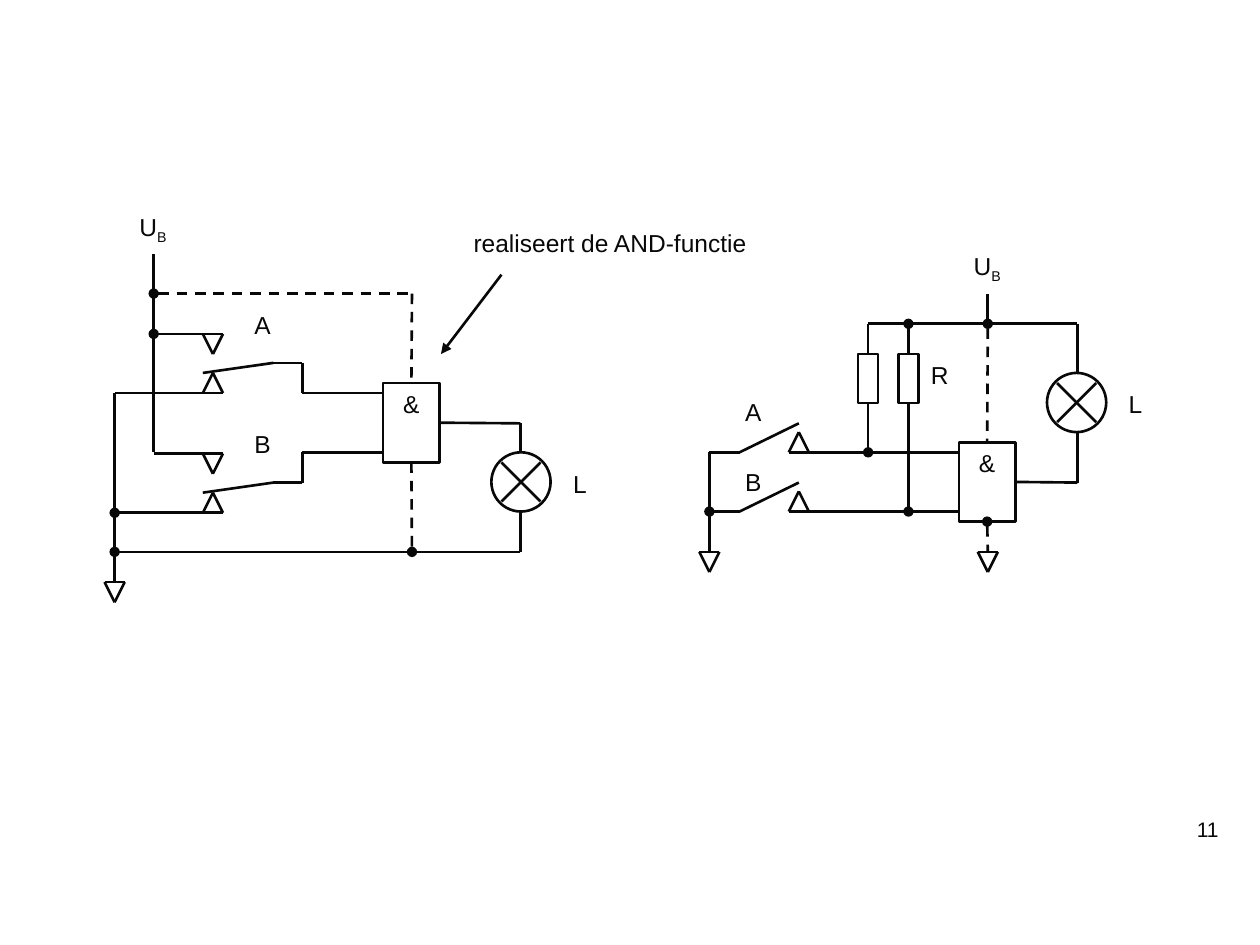
from lxml import etree
from pptx import Presentation
from pptx.dml.color import RGBColor
from pptx.enum.dml import MSO_LINE
from pptx.enum.shapes import MSO_CONNECTOR, MSO_SHAPE
from pptx.enum.text import PP_ALIGN
from pptx.oxml.ns import qn
from pptx.util import Inches, Pt

INK = RGBColor(0x08, 0x08, 0x08)
FONT = "Arial"
TOP, BOTTOM, RIGHT = 0, 2, 3
LEFT_ALIGN, CENTER, RIGHT_ALIGN = PP_ALIGN.LEFT, PP_ALIGN.CENTER, PP_ALIGN.RIGHT


def label(s, text, x, y, w, h=0.34, align=CENTER, size=14, sub=""):
    """Text box, with an optional subscript after the text."""
    tf = s.shapes.add_textbox(Inches(x), Inches(y), Inches(w), Inches(h)).text_frame
    tf.word_wrap = True
    p = tf.paragraphs[0]
    p.alignment = align
    for part in filter(None, (text, sub)):
        r = p.add_run()
        r.text = part
        for name, value in {"name": FONT, "size": Pt(size)}.items():
            setattr(r.font, name, value)
        r.font.color.rgb = INK
    if sub:
        r.font._element.set("baseline", "-25000")


def wire(s, x1, y1, x2, y2, dash=False, head=None, tail=None, start=None, end=None):
    """Line; head and tail name end marks, start and end are (shape, side)."""
    c = s.shapes.add_connector(MSO_CONNECTOR.STRAIGHT, Inches(x1), Inches(y1),
                               Inches(x2), Inches(y2))
    if start:
        c.begin_connect(*start)
    if end:
        c.end_connect(*end)
    c.line.color.rgb = INK
    c.line.width = Pt(1.5)
    if dash:
        c.line.dash_style = MSO_LINE.DASH
    ln = c.line._get_or_add_ln()
    for tag, mark in (("a:headEnd", head), ("a:tailEnd", tail)):
        if mark:
            etree.SubElement(ln, qn(tag), type=mark)
    etree.SubElement(c._element.spPr, qn("a:effectLst"))


def outline(s, kind, x, y, w, h):
    sp = s.shapes.add_shape(kind, Inches(x), Inches(y), Inches(w), Inches(h))
    sp.shadow.inherit = False
    sp.fill.background()
    sp.line.color.rgb = INK
    sp.line.width = Pt(1.5)
    return sp


def contact(s, x, base, tip):
    """Two strokes from the base line to a tip at x."""
    for side in (-0.08, 0.08):
        wire(s, x + side, base, x, tip)


def ground(s, x, y):
    contact(s, x, y, y + 0.16)
    wire(s, x - 0.08, y, x + 0.08, y)


def lamp(s, x, y):
    outline(s, MSO_SHAPE.OVAL, x, y, 0.47, 0.47)
    near, far = 0.08, 0.39
    wire(s, x + near, y + near, x + far, y + far)
    wire(s, x + far, y + near, x + near, y + far)
    label(s, "L", x + 0.55, y + 0.08, 0.39, align=LEFT_ALIGN)


def gate(s, x, y):
    sp = outline(s, MSO_SHAPE.RECTANGLE, x, y, 0.45, 0.63)
    label(s, "&", x - 0.09, y, 0.63)
    return sp


def changeover_switch(s, name, x, y, gate_x, gate_y, supply_dot=None, ground_dot=None):
    """Two-way switch whose supply contact starts at x, y."""
    low, arm_y, out_x = y + 0.47, y + 0.23, x + 1.18
    wire(s, x + 0.55, y, x, y, tail=supply_dot)
    contact(s, x + 0.47, y, y + 0.16)
    wire(s, x + 0.55, low, x - 0.31, low, tail=ground_dot)
    contact(s, x + 0.47, low, low - 0.16)
    wire(s, x + 0.95, arm_y, x + 0.39, y + 0.31)
    wire(s, out_x, arm_y, x + 0.95, arm_y)
    wire(s, out_x, arm_y, out_x, gate_y)
    wire(s, gate_x, gate_y, out_x, gate_y)
    label(s, name, x + 0.63, y - 0.24, 0.47)


def make_switch(s, name, x, y, gate_x, label_rise, dot=None):
    """Single switch from the ground rail at x, y to a gate input."""
    wire(s, x, y, x + 0.24, y, head=dot)
    wire(s, x + 0.24, y, x + 0.71, y - 0.23)
    contact(s, x + 0.71, y, y - 0.16)
    wire(s, gate_x, y, x + 0.63, y)
    label(s, name, x - 0.08, y - label_rise, 0.86)


def changeover_circuit(s, x, y):
    ground_x, supply_x, gate_x, lamp_x = x + 0.08, x + 0.39, x + 2.21, x + 3.3
    mid_x, feed_y, base_y = gate_x + 0.23, y + 0.7, y + 2.75
    gate_y, lamp_y, out_y = y + 1.41, y + 1.96, y + 1.73

    label(s, "U", x + 0.15, y, 0.47, 0.37, sub="B")
    wire(s, supply_x, y + 0.39, supply_x, lamp_y)
    changeover_switch(s, "A", supply_x, y + 1.02, gate_x, y + 1.49, supply_dot="oval")
    changeover_switch(s, "B", supply_x, y + 1.97, gate_x, y + 1.96, ground_dot="oval")
    wire(s, ground_x, y + 1.49, ground_x, y + 2.99)
    ground(s, ground_x, y + 2.99)

    g = gate(s, gate_x, gate_y)
    wire(s, supply_x, feed_y, mid_x, feed_y, dash=True, head="oval")
    wire(s, mid_x, feed_y, mid_x, gate_y, dash=True, end=(g, TOP))
    wire(s, mid_x, gate_y + 0.63, mid_x, base_y, dash=True, tail="oval", start=(g, BOTTOM))
    wire(s, lamp_x, out_y, gate_x + 0.45, out_y, end=(g, RIGHT))
    wire(s, lamp_x, out_y, lamp_x, lamp_y)
    lamp(s, lamp_x - 0.23, lamp_y)
    wire(s, lamp_x, lamp_y + 0.47, lamp_x, base_y)
    wire(s, lamp_x, base_y, ground_x, base_y, tail="oval")


def pull_up_circuit(s, x, y):
    ground_x, gate_x, lamp_x = x + 0.08, x + 2.06, x + 3.0
    mid_x, rail_y, base_y = gate_x + 0.23, y + 0.63, y + 2.44
    a_y, b_y, gate_y, out_y = y + 1.65, y + 2.12, y + 1.57, y + 1.89

    make_switch(s, "A", ground_x, a_y, gate_x, 0.49)
    make_switch(s, "B", ground_x, b_y, gate_x, 0.4, dot="oval")
    wire(s, ground_x, a_y, ground_x, base_y)
    ground(s, ground_x, base_y)

    resistor_x, resistor_y = x + 1.26, y + 0.87
    for i, (input_y, dot) in enumerate(((a_y, None), (b_y, "oval"))):
        left = resistor_x + 0.32 * i
        center = left + 0.08
        sp = outline(s, MSO_SHAPE.RECTANGLE, left, resistor_y, 0.16, 0.39)
        wire(s, center, rail_y, center, resistor_y, head=dot, end=(sp, TOP))
        wire(s, center, resistor_y + 0.39, center, input_y, tail="oval", start=(sp, BOTTOM))
    label(s, "R", x + 1.74, resistor_y, 0.39, align=LEFT_ALIGN)

    g = gate(s, gate_x, gate_y)
    label(s, "U", x + 2.05, y, 0.47, 0.37, sub="B")
    wire(s, resistor_x + 0.08, rail_y, lamp_x, rail_y)
    wire(s, mid_x, rail_y, mid_x, y + 0.39)
    wire(s, mid_x, rail_y, mid_x, gate_y, dash=True, head="oval", end=(g, TOP))
    wire(s, mid_x, gate_y + 0.63, mid_x, base_y, dash=True, head="oval", start=(g, BOTTOM))
    ground(s, mid_x, base_y)
    lamp_y = y + 1.02
    wire(s, lamp_x, rail_y, lamp_x, lamp_y)
    lamp(s, lamp_x - 0.24, lamp_y)
    wire(s, lamp_x, lamp_y + 0.47, lamp_x, out_y)
    wire(s, lamp_x, out_y, gate_x + 0.45, out_y, end=(g, RIGHT))


def gate_note(s, x, y):
    label(s, "realiseert de AND-functie", x, y, 2.99, align=LEFT_ALIGN)
    wire(s, x + 0.32, y + 0.42, x - 0.16, y + 1.05, tail="triangle")


def main():
    prs = Presentation()
    prs.slide_width, prs.slide_height = Inches(10), Inches(7.5)
    s = prs.slides.add_slide(prs.slide_layouts[6])
    changeover_circuit(s, 0.83, 1.63)
    pull_up_circuit(s, 5.55, 1.94)
    gate_note(s, 3.66, 1.76)
    label(s, "11", 7.44, 6.43, 2.33, 0.52, align=RIGHT_ALIGN, size=12)
    prs.save("out.pptx")


if __name__ == "__main__":
    main()
